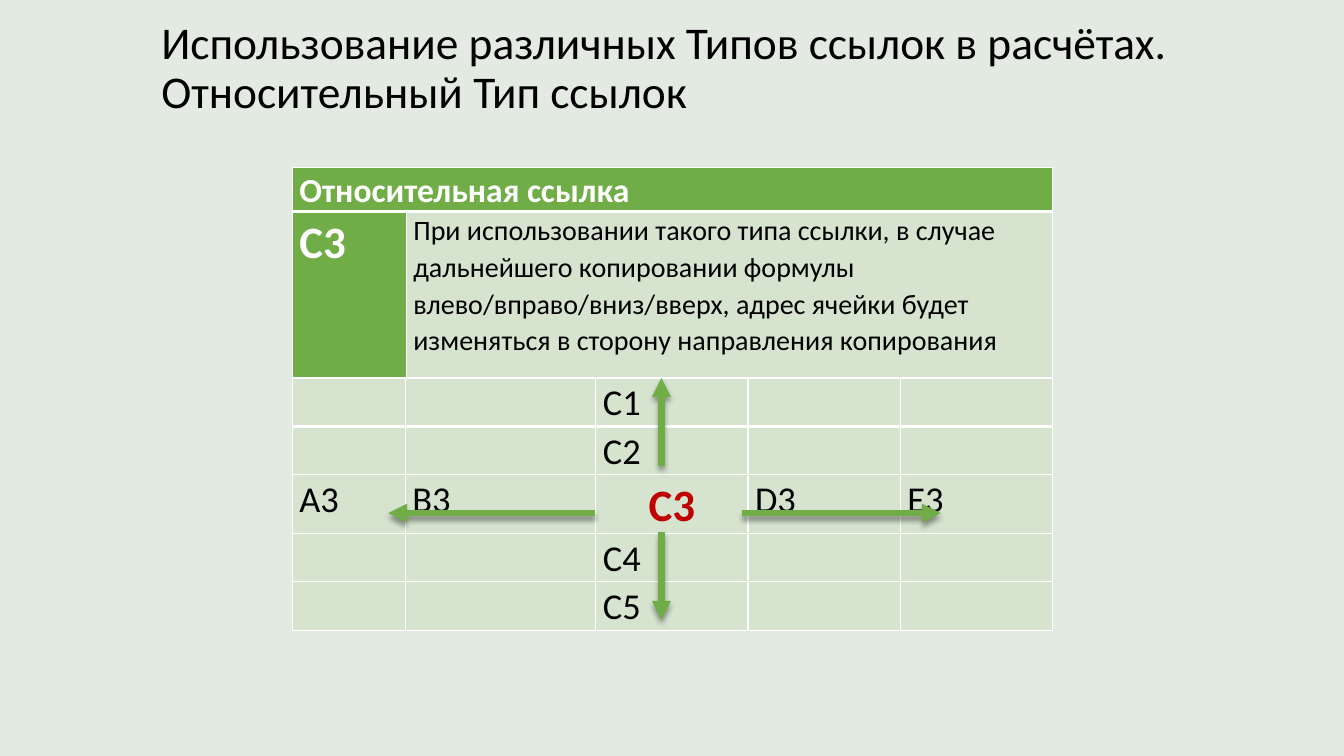
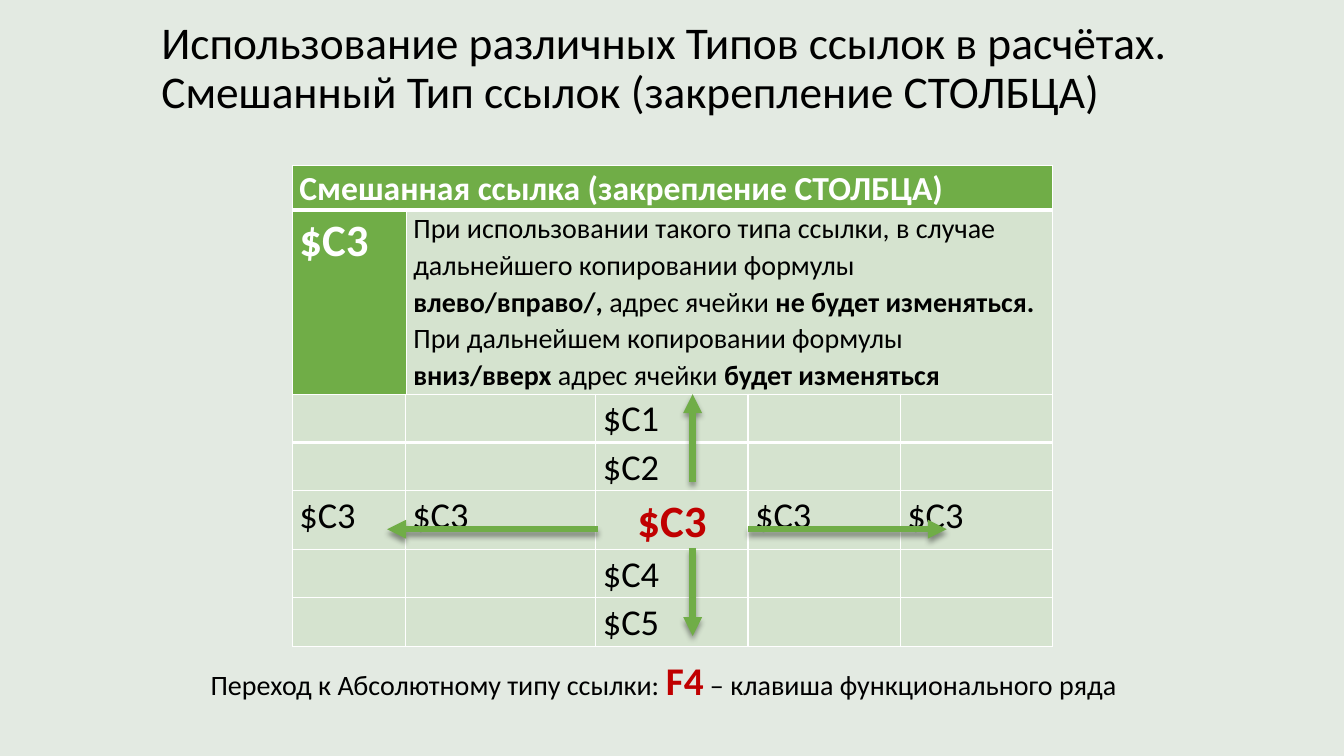
from pptx import Presentation
from pptx.dml.color import RGBColor
from pptx.enum.shapes import MSO_CONNECTOR
from pptx.enum.text import MSO_ANCHOR, MSO_AUTO_SIZE, PP_ALIGN
from pptx.oxml import parse_xml
from pptx.oxml.ns import nsdecls, qn
from pptx.util import Inches, Pt

# Shared look
FONT = "Calibri"
BACKGROUND, GREEN, PALE = "E3EAE2", "70AD47", "D5E3CF"
BLACK, WHITE, RED = "000000", "FFFFFF", "C00000"

TITLE = {"size": 32.4}
HEADER = {"size": 24, "bold": True, "colour": WHITE}
SAMPLE = {"size": 32, "bold": True, "colour": WHITE}
BODY = {"size": 20, "bold": False}
STRONG = {"size": 20, "bold": True}
ADDRESS = {"size": 26}
CENTRE = {"size": 32, "bold": True, "colour": RED}
KEY = {"size": 28, "bold": True, "colour": RED}

# Shared grid, in inches
TABLE_LEFT = 2.9
RULE_COLUMNS = [1.13, 6.41]
GRID_COLUMNS = [1.12, 1.89, 1.51, 1.51, 1.51]
HEADER_ROW = 0.44
GRID_ROWS = [0.48, 0.48, 0.58, 0.48, 0.48]
MIDDLE = 2
UP_START, ACROSS, DOWN_START, ARROW_LENGTH = 0.87, 1.34, 1.53, 0.87

TITLE_START = "Использование различных Типов ссылок в расчётах. "
RULE_START = "При использовании такого типа ссылки, в случае дальнейшего копировании формулы "

SLIDES = [
    {
        "title": "Относительный Тип ссылок",
        "header": "Относительная ссылка",
        "sample": "C3",
        "rules": [[(RULE_START + "влево/вправо/вниз/вверх, адрес ячейки будет изменяться "
                    "в сторону направления копирования", BODY)]],
        "column": ["С1", "С2", "С3", "С4", "С5"],
        "row": ["А3", "В3", "С3", "D3", "E3"],
        "top": 1.66, "grid_top": 3.75,
        "left_arrow": (5.9, 3.85), "right_arrow": (7.36, 9.33), "vertical": 6.56,
        "caption": [],
    },
    {
        "title": "Смешанный Тип ссылок (закрепление СТОЛБЦА)",
        "header": "Смешанная ссылка (закрепление СТОЛБЦА)",
        "sample": "$C3",
        "rules": [
            [(RULE_START, BODY), ("влево/вправо/,", STRONG),
             (" адрес ячейки ", BODY), ("не будет изменяться.", STRONG)],
            [("При дальнейшем копировании формулы ", BODY), ("вниз/вверх", STRONG),
             (" адрес ячейки ", BODY), ("будет изменяться", STRONG)],
        ],
        "column": ["$С1", "$С2", "$С3", "$С4", "$С5"],
        "row": ["$C3", "$C3", "$С3", "$C3", "$C3"],
        "top": 1.64, "grid_top": 3.91,
        "left_arrow": (5.93, 3.84), "right_arrow": (7.42, 9.39), "vertical": 6.87,
        "caption": [("Переход к Абсолютному типу ссылки: ", BODY), ("F4", KEY),
                    (" – клавиша функционального ряда", BODY)],
    },
]


def colour(value):
    return RGBColor.from_string(value)


def write(frame, paragraphs, spacing=None, align=PP_ALIGN.LEFT):
    """Fill a text frame with paragraphs, each a list of (text, format)."""
    for index, spans in enumerate(paragraphs):
        para = frame.add_paragraph() if index else frame.paragraphs[0]
        para.alignment = align
        if spacing:
            para.line_spacing = spacing
        for text, look in spans:
            span = para.add_run()
            span.text = text
            values = {"name": FONT, "size": Pt(look["size"]), "bold": look.get("bold", False)}
            for name, value in values.items():
                setattr(span.font, name, value)
            span.font.color.rgb = colour(look.get("colour", BLACK))


def add_title(page, text):
    title = page.shapes.title
    box = {"left": 1.5, "top": 0.28, "width": 10.92, "height": 0.82}
    for name, value in box.items():
        setattr(title, name, Inches(value))
    frame = title.text_frame
    for name, value in {"word_wrap": True, "auto_size": MSO_AUTO_SIZE.NONE,
                        "vertical_anchor": MSO_ANCHOR.MIDDLE}.items():
        setattr(frame, name, value)
    write(frame, [[(text, TITLE)]], 0.9)


def add_table(page, top, columns, rows):
    """Add a plain table with white borders and a thick rule below row one."""
    shape = page.shapes.add_table(len(rows), len(columns), Inches(TABLE_LEFT), Inches(top),
                                  Inches(sum(columns)), Inches(sum(rows)))
    table = shape.table
    table.first_row = table.horz_banding = False
    for column, width in zip(table.columns, columns):
        column.width = Inches(width)
    for number, (row, height) in enumerate(zip(table.rows, rows)):
        row.height = Inches(height)
        widths = {"L": 1, "R": 1, "T": 3 if number == 1 else 1, "B": 3 if number == 0 else 1}
        for cell in row.cells:
            format_cell(cell, widths)
    return table


def format_cell(cell, border_widths):
    margins = {"margin_left": 0.07, "margin_right": 0.07, "margin_top": 0, "margin_bottom": 0}
    for name, value in margins.items():
        setattr(cell, name, Inches(value))
    properties = cell._tc.get_or_add_tcPr()
    for side, width in border_widths.items():
        properties.append(parse_xml(
            f'<a:ln{side} {nsdecls("a")} w="{Pt(width)}"><a:solidFill>'
            f'<a:srgbClr val="{WHITE}"/></a:solidFill></a:ln{side}>'))
    paint(cell, PALE)


def paint(cell, value):
    cell.fill.solid()
    cell.fill.fore_color.rgb = colour(value)


def write_cell(cell, paragraphs, align=PP_ALIGN.LEFT):
    write(cell.text_frame, paragraphs, 1.07, align)


def add_rule_table(page, content):
    body_row = content["grid_top"] - content["top"] - HEADER_ROW
    table = add_table(page, content["top"], RULE_COLUMNS, [HEADER_ROW, body_row])
    table.cell(0, 0).merge(table.cell(0, 1))
    for cell in (table.cell(0, 0), table.cell(0, 1), table.cell(1, 0)):
        paint(cell, GREEN)
    write_cell(table.cell(0, 0), [[(content["header"], HEADER)]])
    write_cell(table.cell(1, 0), [[(content["sample"], SAMPLE)]])
    write_cell(table.cell(1, 1), content["rules"])


def add_address_grid(page, content):
    """Fill the middle column and the middle row, which cross in the centre."""
    table = add_table(page, content["grid_top"], GRID_COLUMNS, GRID_ROWS)
    for index, (down, across) in enumerate(zip(content["column"], content["row"])):
        if index == MIDDLE:
            write_cell(table.cell(MIDDLE, MIDDLE), [[(down, CENTRE)]], PP_ALIGN.CENTER)
        else:
            write_cell(table.cell(index, MIDDLE), [[(down, ADDRESS)]])
            write_cell(table.cell(MIDDLE, index), [[(across, ADDRESS)]])


def add_arrow(page, start, end):
    arrow = page.shapes.add_connector(MSO_CONNECTOR.STRAIGHT,
                                      *(Inches(value) for value in (*start, *end)))
    arrow.line.width = Pt(4.5)
    arrow.line.color.rgb = colour(GREEN)
    properties = arrow._element.spPr
    properties.find(qn("a:ln")).append(
        parse_xml(f'<a:tailEnd {nsdecls("a")} type="triangle"/>'))
    properties.append(parse_xml(
        f'<a:effectLst {nsdecls("a")}><a:outerShdw blurRad="{Pt(4)}" dist="{Pt(3)}" '
        f'dir="5400000" rotWithShape="0"><a:srgbClr val="{BLACK}"><a:alpha val="40000"/>'
        '</a:srgbClr></a:outerShdw></a:effectLst>'))


def add_arrows(page, content):
    top, middle = content["grid_top"], content["vertical"]
    for side in ("right_arrow", "left_arrow"):
        start, end = content[side]
        add_arrow(page, (start, top + ACROSS), (end, top + ACROSS))
    for offset, length in ((UP_START, -ARROW_LENGTH), (DOWN_START, ARROW_LENGTH)):
        add_arrow(page, (middle, top + offset), (middle, top + offset + length))


def add_caption(page, spans):
    box = page.shapes.add_textbox(Inches(1.99), Inches(6.46), Inches(9.36), Inches(0.57))
    box.text_frame.word_wrap = True
    write(box.text_frame, [spans])


def main():
    deck = Presentation()
    deck.slide_width, deck.slide_height = Inches(13.33), Inches(7.5)
    backdrop = deck.slide_master.background.fill
    backdrop.solid()
    backdrop.fore_color.rgb = colour(BACKGROUND)
    for content in SLIDES:
        page = deck.slides.add_slide(deck.slide_layouts.get_by_name("Title Only"))
        add_title(page, TITLE_START + content["title"])
        add_rule_table(page, content)
        add_address_grid(page, content)
        add_arrows(page, content)
        if content["caption"]:
            add_caption(page, content["caption"])
    deck.save("out.pptx")


if __name__ == "__main__":
    main()
